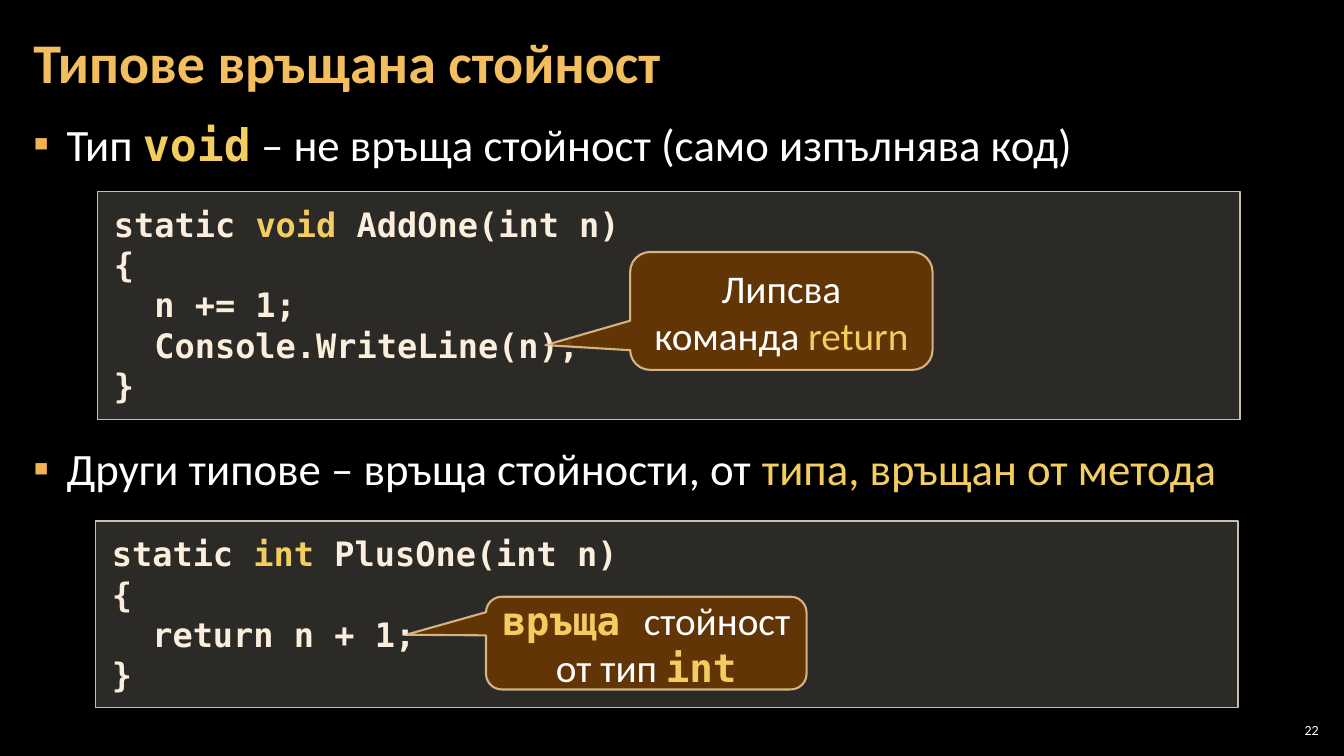
from lxml.etree import SubElement
from pptx import Presentation
from pptx.dml.color import RGBColor
from pptx.enum.shapes import MSO_SHAPE
from pptx.enum.text import MSO_ANCHOR, PP_ALIGN
from pptx.oxml.ns import qn
from pptx.util import Inches, Pt

SANS, MONO = "Calibri", "DejaVu Sans Mono"
WHITE, YELLOW, CREAM = "FFFFFF", "F3CD60", "FBEEDC"

PLAIN = (SANS, WHITE, False)
ACCENT = (SANS, YELLOW, False)
KEYWORD = (MONO, YELLOW, True)
CODE = (MONO, CREAM, True)
HEADING = (SANS, "F3BE60", True)

TITLE = [[("Типове връщана стойност", HEADING)]]
PAGE_NUMBER = [[("22", PLAIN)]]

BULLETS = [
    (1.09, [[("Тип ", PLAIN), ("void", KEYWORD),
             (" – не връща стойност (само изпълнява код)", PLAIN)]]),
    (4.31, [[("Други типове – връща стойности, от ", PLAIN),
             ("типа, връщан от метода", ACCENT)]]),
]

LISTINGS = [
    ((0.97, 1.9, 11.33, 2.26), [
        [("static ", CODE), ("void", KEYWORD), (" AddOne(int n)", CODE)],
        [("{", CODE)],
        [("  n += 1;", CODE)],
        [("  Console.WriteLine(n);", CODE)],
        [("}", CODE)],
    ]),
    ((0.95, 5.17, 11.33, 1.85), [
        [("static ", CODE), ("int", KEYWORD), (" PlusOne(int n)", CODE)],
        [("{", CODE)],
        [("  return n + 1;", CODE)],
        [("}", CODE)],
    ]),
]

CALLOUTS = [
    ((6.25, 2.5, 3, 1.17), (-0.78, 0.29, 0.17),
     [[("Липсва команда ", PLAIN), ("return", ACCENT)]]),
    ((4.82, 5.92, 3.18, 0.92), (-0.75, -0.09, 0.17),
     [[("връща ", KEYWORD), ("стойност от тип ", PLAIN), ("int", KEYWORD)]]),
]


def paint(color_format, color, opacity=100):
    color_format.rgb = RGBColor.from_string(color)
    return opacity


def set_opacity(parent, percent):
    color = next(parent.iter(qn("a:srgbClr")))
    SubElement(color, qn("a:alpha"), val=str(percent * 1000))


def write(shape, lines, size, insets=(0.12, 0.04), align=PP_ALIGN.LEFT,
          anchor=MSO_ANCHOR.TOP, spacing=1.0):
    frame = shape.text_frame
    frame.word_wrap = True
    frame.vertical_anchor = anchor
    frame.margin_left = frame.margin_right = Inches(insets[0])
    frame.margin_top = frame.margin_bottom = Inches(insets[1])
    for index, line in enumerate(lines):
        paragraph = frame.add_paragraph() if index else frame.paragraphs[0]
        paragraph.alignment = align
        paragraph.line_spacing = spacing
        for words, (font, color, bold) in line:
            run = paragraph.add_run()
            run.text = words
            run.font.name = font
            run.font.size = Pt(size)
            run.font.bold = bold
            paint(run.font.color, color)
    return frame


def add_bullet(paragraph, color, mark):
    properties = paragraph._p.get_or_add_pPr()
    properties.set("marL", str(Inches(0.33)))
    properties.set("indent", str(-Inches(0.33)))
    mark_color = SubElement(properties, qn("a:buClr"))
    SubElement(mark_color, qn("a:srgbClr"), val=color)
    SubElement(properties, qn("a:buFont"), typeface=SANS)
    SubElement(properties, qn("a:buChar"), char=mark)


def add_panel(slide, kind, box, fill, opacity, border, width):
    panel = slide.shapes.add_shape(kind, *map(Inches, box))
    panel.shadow.inherit = False
    panel.fill.solid()
    paint(panel.fill.fore_color, fill)
    set_opacity(panel._element.spPr, opacity)
    paint(panel.line.color, border)
    panel.line.width = Pt(width)
    return panel


def add_label(slide, box):
    return slide.shapes.add_textbox(*map(Inches, box))


def main():
    deck = Presentation()
    deck.slide_width, deck.slide_height = Inches(13.33), Inches(7.5)
    slide = deck.slides.add_slide(deck.slide_layouts[6])
    slide.background.fill.solid()
    paint(slide.background.fill.fore_color, "000000")

    for top, lines in BULLETS:
        frame = write(add_label(slide, (0.21, top, 12.91, 0.65)), lines, 32,
                      spacing=1.05)
        add_bullet(frame.paragraphs[0], "F2B254", "▪")

    write(add_label(slide, (0.21, 0.04, 12.91, 1.21)), TITLE, 40,
          anchor=MSO_ANCHOR.MIDDLE, spacing=0.9)

    for box, lines in LISTINGS:
        panel = add_panel(slide, MSO_SHAPE.RECTANGLE, box,
                          "D9D5C7", 20, "C7BFAC", 1)
        write(panel, lines, 24, insets=(0.16, 0.12))

    for box, pointer, lines in CALLOUTS:
        callout = add_panel(slide, MSO_SHAPE.ROUNDED_RECTANGULAR_CALLOUT, box,
                            "663606", 95, "F8D49E", 1.5)
        set_opacity(callout.line._ln, 80)
        for index, value in enumerate(pointer):
            callout.adjustments[index] = value
        write(callout, lines, 28, insets=(0.1, 0.05),
              align=PP_ALIGN.CENTER, anchor=MSO_ANCHOR.MIDDLE)

    write(add_label(slide, (12.65, 7.14, 0.47, 0.21)), PAGE_NUMBER, 10,
          insets=(0.04, 0.04), align=PP_ALIGN.RIGHT, anchor=MSO_ANCHOR.MIDDLE)

    deck.save("out.pptx")


if __name__ == "__main__":
    main()
